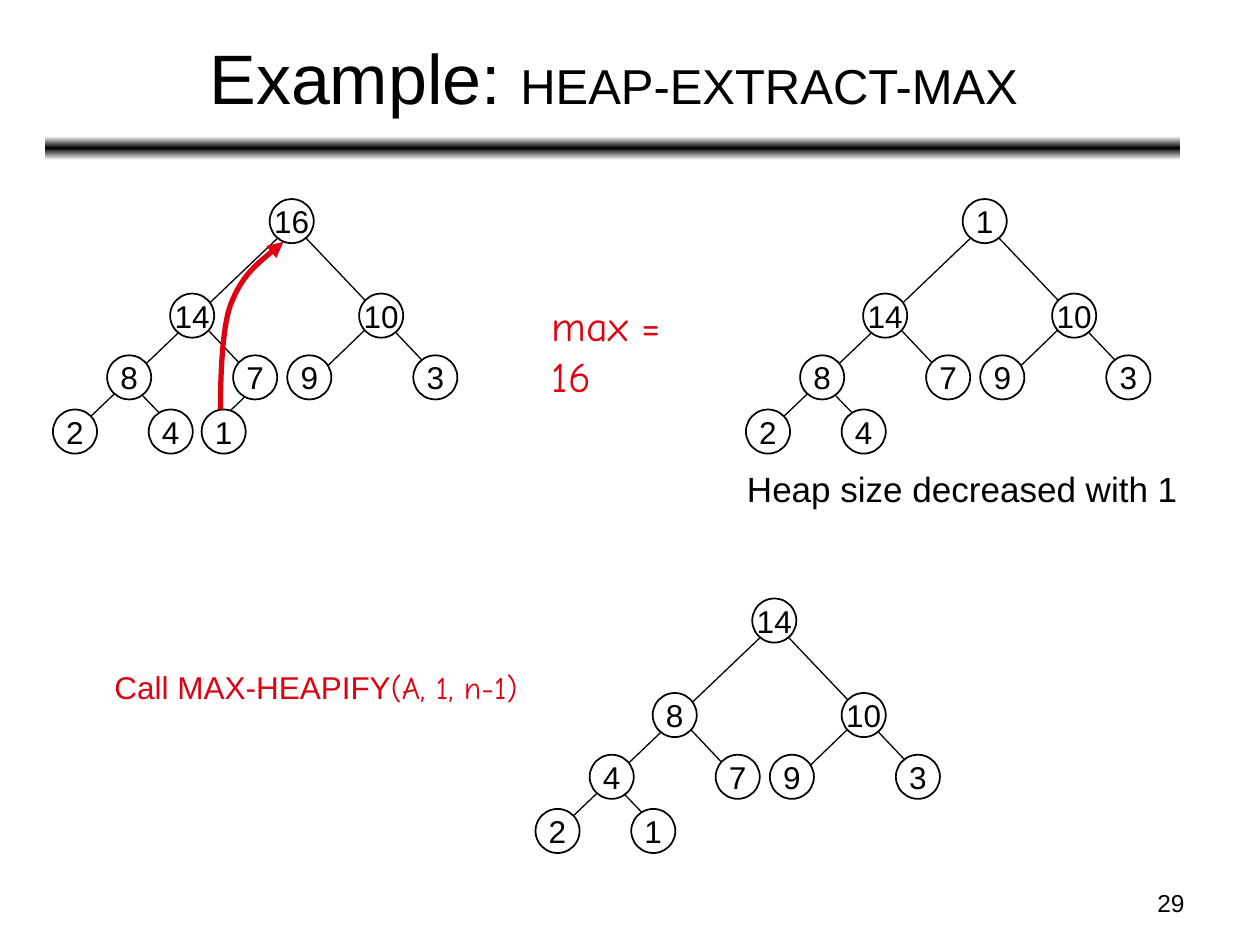
from copy import deepcopy

from lxml import etree
from pptx import Presentation
from pptx import util as u
from pptx.dml.color import RGBColor
from pptx.enum import shapes, text
from pptx.oxml import ns

BLACK = RGBColor(0x00, 0x00, 0x00)
WHITE = RGBColor(0xFF, 0xFF, 0xFF)
RED = RGBColor(0xDD, 0x01, 0x11)
SANS = "Arial"
HAND = "Comic Neue"
NODE_SIZE = 0.35
NODE_SPOTS = [
    (1.72, 0),
    (0.93, 0.75), (2.43, 0.75),
    (0.43, 1.24), (1.43, 1.24), (1.86, 1.24), (2.86, 1.24),
    (0, 1.67), (0.76, 1.67), (1.18, 1.67),
]
BRANCHES = [
    (2.05, 1.45, 2.61, 0.91),
    (1.03, 1.89, 0.49, 1.33),
    (1.62, 1.45, 1.09, 0.89),
    (3.13, 1.49, 1.8, 0.09),
    (0.18, 1.84, 1.93, 0.17),
]
LAST_BRANCH = (1.24, 1.84, 1.69, 1.41)
HEAPS = [
    (0.42, 1.58, [16, 14, 10, 8, 7, 9, 3, 2, 4, 1]),
    (5.92, 1.58, [1, 14, 10, 8, 7, 9, 3, 2, 4]),
    (4.25, 4.75, [14, 8, 10, 4, 7, 9, 3, 2, 1]),
]
MOVE_CURVE = [(2.25, 1.92), (2.08, 2.06), (1.92, 2.19), (1.83, 2.42),
              (1.75, 2.64), (1.75, 3.15), (1.75, 3.25)]


def inches(*lengths):
    """Convert several lengths to Inches."""
    return [u.Inches(length) for length in lengths]


def add_span(para, words, size, font=SANS, color=BLACK):
    """Add one formatted run to a paragraph."""
    span = para.add_run()
    span.text = words
    span.font.size = u.Pt(size)
    span.font.name = font
    span.font.color.rgb = color


def add_title(page):
    """Place the title and fill in its two sizes."""
    title = page.shapes.title
    title.left, title.top, title.width, title.height = inches(0.37, 0.11, 9, 0.99)
    title.text_frame.vertical_anchor = text.MSO_ANCHOR.MIDDLE
    para = title.text_frame.paragraphs[0]
    para.alignment = text.PP_ALIGN.CENTER
    add_span(para, "Example: ", 40)
    add_span(para, "HEAP-EXTRACT-MAX", 28)


def add_rule(page):
    """Draw the gradient bar below the title."""
    bar = page.shapes.add_shape(
        shapes.MSO_SHAPE.ROUNDED_RECTANGLE, *inches(0.36, 1.08, 9.01, 0.19))
    bar.shadow.inherit = False
    bar.line.fill.background()
    bar.fill.gradient()
    bar.fill.gradient_angle = 90
    first = bar.element.xpath(".//a:gs")[0]
    first.addnext(deepcopy(first))
    for stop, position, color in zip(
            bar.fill.gradient_stops, (0, 0.5, 1), (WHITE, BLACK, WHITE)):
        stop.position = position
        stop.color.rgb = color


def add_label(page, place, spans, align=text.PP_ALIGN.LEFT):
    """Add a one-line text box made of spans."""
    box = page.shapes.add_textbox(*inches(*place))
    box.text_frame.word_wrap = align == text.PP_ALIGN.RIGHT
    para = box.text_frame.paragraphs[0]
    para.alignment = align
    for span in spans:
        add_span(para, *span)


def add_branch(tree, left, top, ends):
    """Draw one thin line of a tree."""
    x1, y1, x2, y2 = ends
    branch = tree.shapes.add_connector(
        shapes.MSO_CONNECTOR.STRAIGHT,
        *inches(left + x1, top + y1, left + x2, top + y2))
    branch.line.color.rgb = BLACK
    branch.line.width = u.Pt(0.75)
    etree.SubElement(branch.element.spPr, ns.qn("a:effectLst"))


def add_node(tree, left, top, key):
    """Draw one circle with its key."""
    node = tree.shapes.add_shape(
        shapes.MSO_SHAPE.OVAL, *inches(left, top, NODE_SIZE, NODE_SIZE))
    node.shadow.inherit = False
    node.fill.solid()
    node.fill.fore_color.rgb = WHITE
    node.line.color.rgb = BLACK
    node.line.width = u.Pt(1)
    frame = node.text_frame
    frame.word_wrap = False
    frame.vertical_anchor = text.MSO_ANCHOR.MIDDLE
    frame.paragraphs[0].alignment = text.PP_ALIGN.CENTER
    add_span(frame.paragraphs[0], str(key), 18)


def add_heap(page, left, top, keys):
    """Draw a heap whose keys are given level by level."""
    tree = page.shapes.add_group_shape()
    full = len(keys) == len(NODE_SPOTS)
    for ends in BRANCHES + [LAST_BRANCH] * full:
        add_branch(tree, left, top, ends)
    for (x, y), key in zip(NODE_SPOTS, keys):
        add_node(tree, left + x, top + y, key)


def add_move_arrow(page):
    """Draw the curved arrow from the last leaf to the root."""
    start, *others = [tuple(inches(*point)) for point in MOVE_CURVE]
    builder = page.shapes.build_freeform(*start)
    builder.add_line_segments(others, close=False)
    arrow = builder.convert_to_shape()
    arrow.shadow.inherit = False
    arrow.fill.background()
    arrow.line.color.rgb = RED
    arrow.line.width = u.Pt(3)
    etree.SubElement(arrow.line._get_or_add_ln(), ns.qn("a:headEnd"), type="triangle")
    steps = arrow.element.xpath(".//a:lnTo")
    for index in range(0, len(steps), 3):
        curve = etree.Element(ns.qn("a:cubicBezTo"))
        steps[index].addprevious(curve)
        for step in steps[index:index + 3]:
            curve.append(step[0])
            step.getparent().remove(step)


def main():
    """Build the slide and save it."""
    deck = Presentation()
    deck.slide_width, deck.slide_height = inches(10, 7.5)
    page = deck.slides.add_slide(deck.slide_layouts[5])
    add_rule(page)
    add_title(page)
    for heap in HEAPS:
        add_heap(page, *heap)
    add_move_arrow(page)
    add_label(page, (4.28, 2.33, 1.49, 0.5), [("max = 16", 24, HAND, RED)])
    add_label(page, (5.83, 3.66, 3.62, 0.44), [("Heap size decreased with 1", 20)])
    add_label(page, (0.81, 5.25, 3.4, 0.4),
              [("Call MAX-HEAPIFY", 18, SANS, RED), ("(A, 1, n-1)", 18, HAND, RED)])
    add_label(page, (7.17, 7, 2.33, 0.35), [("29", 14)], text.PP_ALIGN.RIGHT)
    deck.save("out.pptx")


if __name__ == "__main__":
    main()
